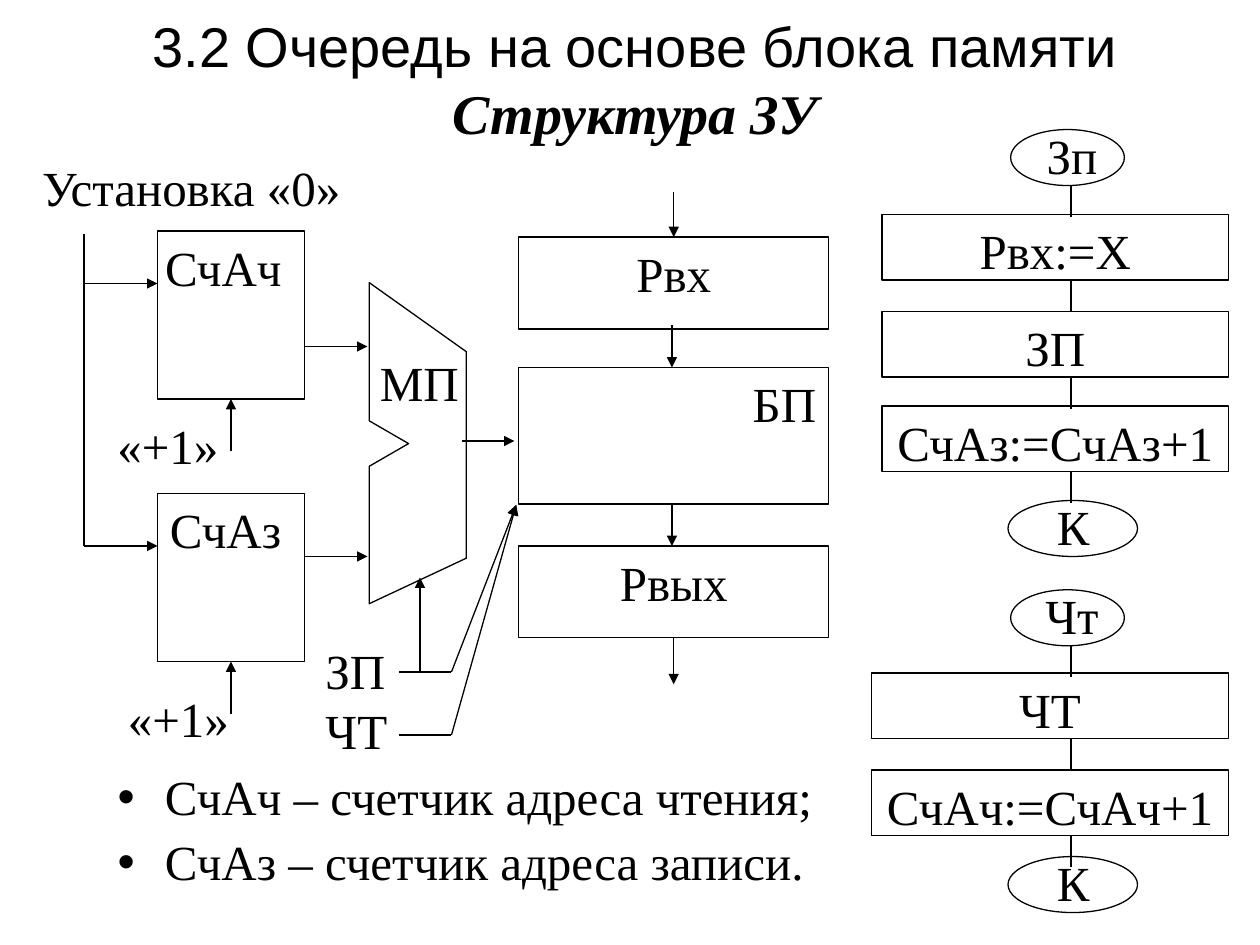
from lxml.etree import SubElement
from pptx import Presentation
from pptx.dml.color import RGBColor
from pptx.enum.shapes import MSO_CONNECTOR as Link, MSO_SHAPE as Form
from pptx.enum.text import MSO_ANCHOR as Anchor, MSO_AUTO_SIZE as Fit, PP_ALIGN as Align
from pptx.oxml.ns import qn
from pptx.util import Pt

COLORS = {"ink": "000000", "paper": "FFFFFF"}
SERIF, SANS = "Times New Roman", "Arial"


def color(name):
    return RGBColor.from_string(COLORS[name])


def write(para, text, font=SERIF, size=28, bold=False, italic=False, align=None):
    """Add one formatted span of text to a paragraph."""
    span = para.add_run()
    span.text = text
    span.font.name, span.font.size = font, Pt(size)
    span.font.bold, span.font.italic = bold, italic
    span.font.color.rgb = color("ink")
    if align is not None:
        para.alignment = align


class Diagram:
    """Drawing style and the page it is applied to."""

    line_width = 0.75
    inset = (7.2, 3.6)

    def __init__(self, page):
        self.page = page
        self.shapes = page.shapes

    def outline(self, shape, fill=None):
        shape.shadow.inherit = False
        shape.line.color.rgb = color("ink")
        shape.line.width = Pt(self.line_width)
        if fill:
            shape.fill.solid()
            shape.fill.fore_color.rgb = color(fill)
        else:
            shape.fill.background()

    def fill_text(self, shape, text, align, inset):
        frame = shape.text_frame
        frame.word_wrap, frame.vertical_anchor = True, Anchor.TOP
        frame.margin_left = frame.margin_right = Pt(inset[0])
        frame.margin_top = frame.margin_bottom = Pt(inset[1])
        write(frame.paragraphs[0], text, align=align)

    def place(self, shape, left, top, width, height):
        shape.left, shape.top = Pt(left), Pt(top)
        shape.width, shape.height = Pt(width), Pt(height)

    def title(self, area, spans):
        holder = self.shapes.title
        self.place(holder, *area)
        holder.text_frame.vertical_anchor = Anchor.MIDDLE
        holder.text_frame.auto_size = Fit.NONE
        for text, style in spans:
            write(holder.text_frame.paragraphs[0], text, size=32, align=Align.CENTER, **style)

    def bullets(self, area, items):
        holder = self.page.placeholders[1]
        self.place(holder, *area)
        frame = holder.text_frame
        frame.auto_size = Fit.NONE
        for number, item in enumerate(items):
            para = frame.add_paragraph() if number else frame.paragraphs[0]
            para.line_spacing, para.space_before = 0.9, Pt(7)
            write(para, item)

    def block(self, text, *area, fill=None, align=Align.CENTER, inset=inset):
        box = self.shapes.add_shape(Form.RECTANGLE, *map(Pt, area))
        self.outline(box, fill)
        self.fill_text(box, text, align, inset)

    def oval(self, *area):
        self.outline(self.shapes.add_shape(Form.OVAL, *map(Pt, area)))

    def label(self, text, *area, align=Align.LEFT, inset=inset):
        box = self.shapes.add_textbox(*map(Pt, area))
        self.fill_text(box, text, align, inset)

    def line(self, x1, y1, x2, y2, arrow=False):
        link = self.shapes.add_connector(Link.STRAIGHT, *map(Pt, (x1, y1, x2, y2)))
        link.line.color.rgb = color("ink")
        link.line.width = Pt(self.line_width)
        if arrow:
            SubElement(link.line._get_or_add_ln(), qn("a:tailEnd"), type="triangle")
        SubElement(link._element.spPr, qn("a:effectLst"))

    def polygon(self, points):
        corners = [(Pt(x), Pt(y)) for x, y in points]
        builder = self.shapes.build_freeform(*corners[0])
        builder.add_line_segments(corners[1:], close=True)
        self.outline(builder.convert_to_shape())

    def flowchart(self, name, start, left, width, steps, end):
        """Start oval, a column of step boxes and the end oval, all linked."""
        axis, oval_height, box_height, link_length = 612, 32, 37.5, 18
        self.oval(577.5, start, 65, oval_height)
        self.label(name, 553.5, start - 6, 118, 43, align=Align.CENTER)
        bottoms = [start + oval_height]
        for text, top in steps:
            self.block(text, left, top, width, box_height)
            bottoms.append(top + box_height)
        self.oval(576, end, 74, oval_height)
        self.label("К", 564, end - 6, 98.5, 36, align=Align.CENTER)
        for bottom in bottoms:
            self.line(axis, bottom, axis, bottom + link_length)


def main():
    deck = Presentation()
    deck.slide_width, deck.slide_height = Pt(720), Pt(540)
    diagram = Diagram(deck.slides.add_slide(deck.slide_layouts[1]))

    # Title and legend
    diagram.title((24, 0, 678, 90), [
        ("3.2 Очередь на основе блока памяти ", {"font": SANS}),
        ("Структура ЗУ", {"bold": True, "italic": True}),
    ])
    diagram.bullets((60, 438, 426, 78), [
        "СчАч – счетчик адреса чтения;",
        "СчАз – счетчик адреса записи.",
    ])

    # Write and read algorithms
    diagram.flowchart("Зп", 74, 504, 198,
                      [("Рвх:=Х", 122.5), ("ЗП", 178), ("СчАз:=СчАз+1", 232)], 286)
    diagram.flowchart("Чт", 337, 498, 204,
                      [("ЧТ", 384.5), ("СчАч:=СчАч+1", 440)], 489.5)

    # Input register, memory block and output register
    for text, top, height, align in [("Рвх", 135.5, 52.5, Align.CENTER),
                                     ("БП", 210, 78, Align.RIGHT),
                                     ("Рвых", 312, 52.5, Align.CENTER)]:
        diagram.block(text, 296.5, top, 177, height, fill="paper", align=align)
    for x, top, bottom in [(385, 109.5, 135.5), (384, 186, 210),
                           (384, 288, 312), (385, 364.5, 391)]:
        diagram.line(x, top, x, bottom, arrow=True)

    # Address counters with reset, increment and output arrows
    for text, top, side, reset, output in [("СчАч", 132, 4.3, 162, 198),
                                           ("СчАз", 282, 7.2, 312, 318)]:
        bottom = top + 96
        diagram.block(text, 90, top, 84, 96, fill="paper", align=Align.LEFT, inset=(side, 3.6))
        diagram.line(48, reset, 90, reset, arrow=True)
        diagram.line(174, output, 210, output, arrow=True)
        diagram.line(132, bottom + 30, 132, bottom, arrow=True)
    diagram.line(48, 134, 48, 312)
    diagram.label("Установка «0»", 24, 90, 176.5, 37.5, inset=(0, 0))
    diagram.label("«+1»", 60, 234, 84, 41)
    diagram.label("«+1»", 66, 390, 84, 41)

    # Multiplexer
    diagram.polygon([(211, 161.5), (266.5, 201), (266.5, 319), (211, 345),
                     (211, 266.5), (233.5, 253.5), (211, 240.5)])
    diagram.label("МП", 210, 198, 66, 41)
    diagram.line(264, 252, 294, 252, arrow=True)

    # Write and read control signals
    for text, label_top, level in [("ЗП", 366, 384), ("ЧТ", 400.5, 420)]:
        diagram.label(text, 186, label_top, 52, 37.5, inset=(0, 0))
        diagram.line(228, level, 258, level)
        diagram.line(258, level, 295, 288.5, arrow=True)
    diagram.line(240, 384, 240, 330, arrow=True)

    deck.save("out.pptx")


if __name__ == "__main__":
    main()
